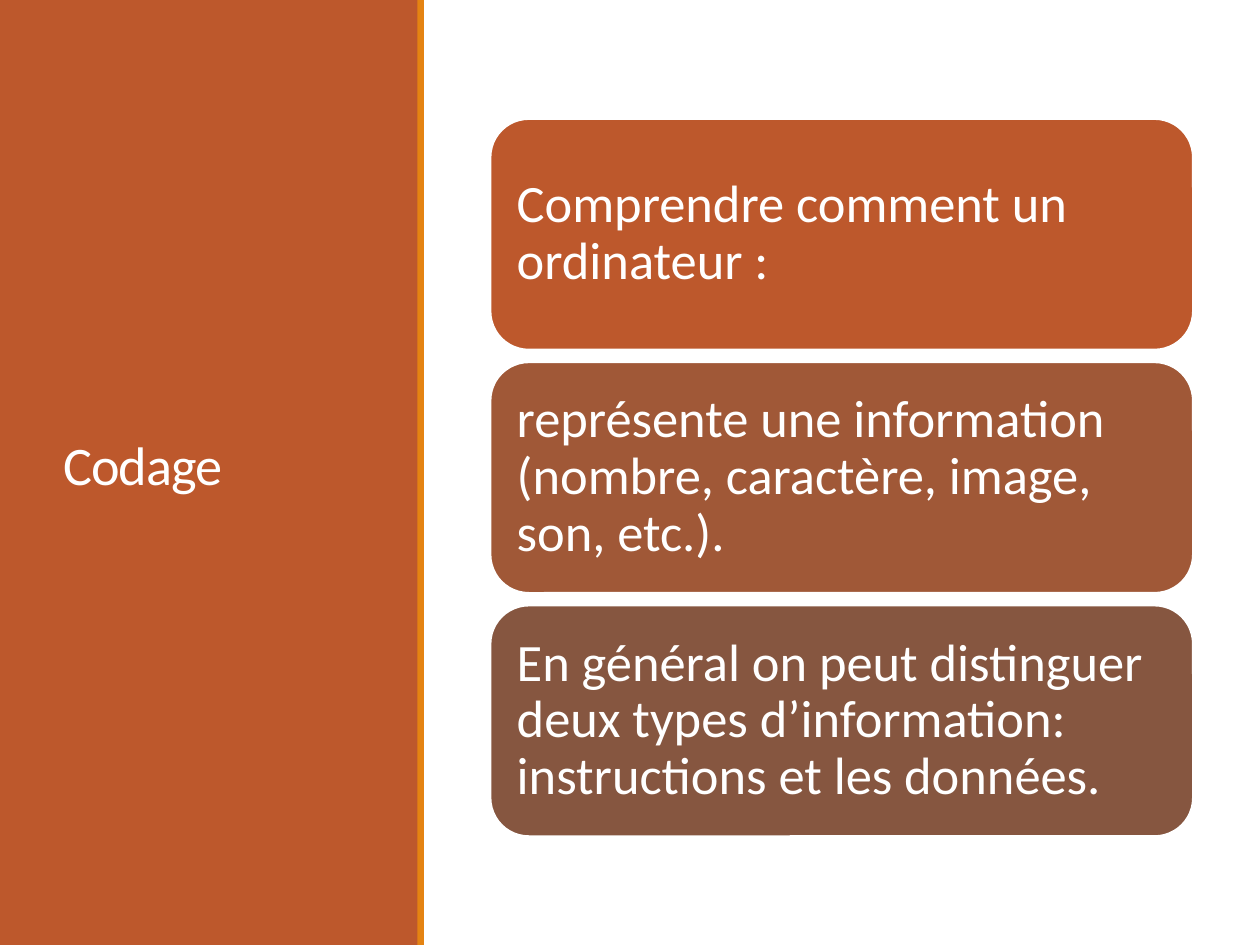
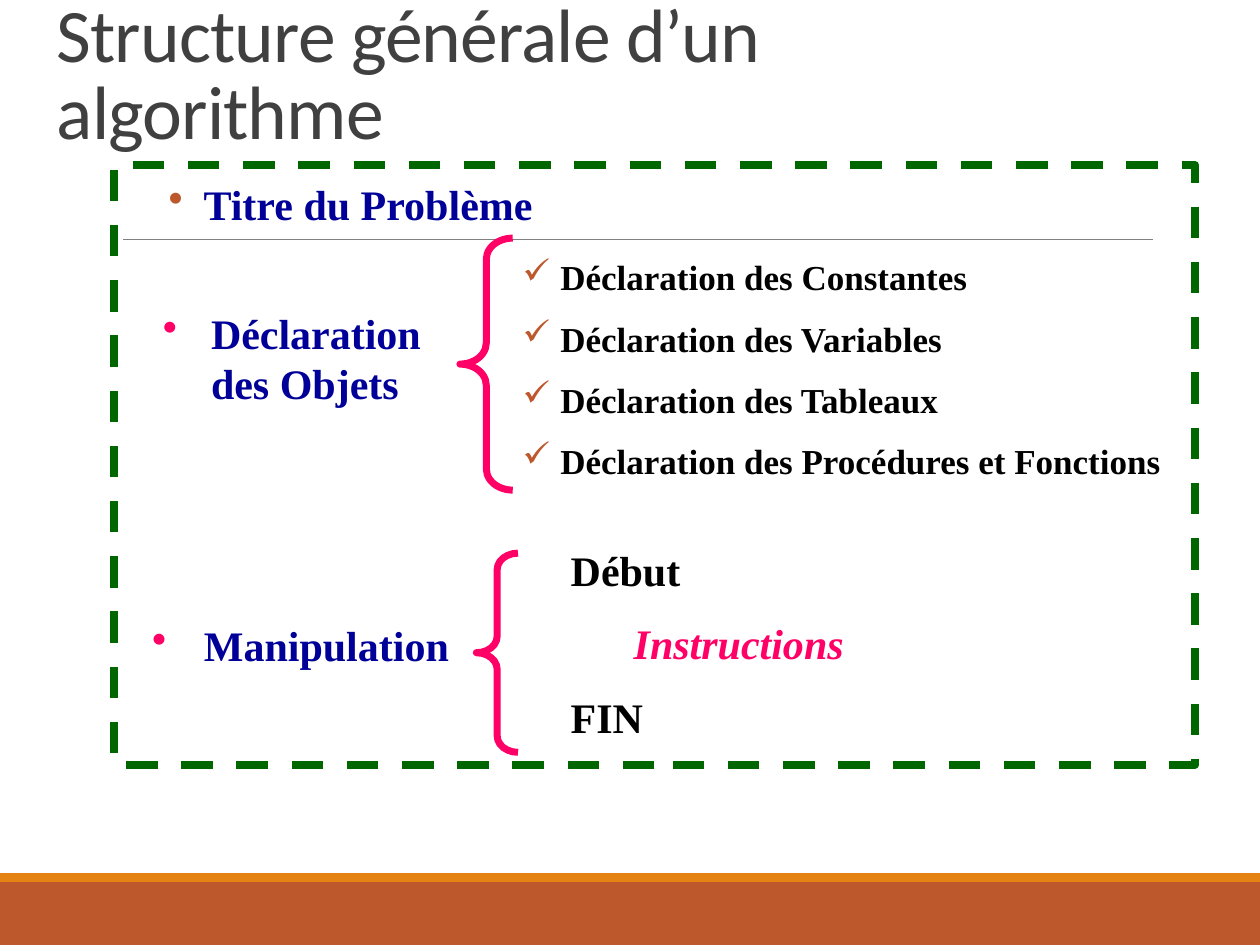
import pptx
import pptx.util
import pptx.dml.color
import pptx.enum.dml
import pptx.enum.shapes
import pptx.enum.text
import pptx.oxml.ns
from lxml import etree

Pt = pptx.util.Pt
SHAPE = pptx.enum.shapes.MSO_SHAPE
ANCHOR = pptx.enum.text.MSO_ANCHOR
ALIGN = pptx.enum.text.PP_ALIGN
qn = pptx.oxml.ns.qn

COLORS = {
    "rust": "BD582C", "orange": "E48312", "brown": "A05837", "umber": "865640",
    "white": "FFFFFF", "black": "000000", "title": "404040", "rule": "808080",
    "green": "006600", "pink": "FF0066", "navy": "000099",
}
SANS, SERIF = "Calibri", "Times New Roman"
WIDTH, HEIGHT = 720, 540


def rgb(name):
    return pptx.dml.color.RGBColor.from_string(COLORS[name])


def style_run(r, font, size, color, bold=False, italic=False):
    r.font.name = font
    r.font.size = Pt(size)
    r.font.color.rgb = rgb(color)
    r.font.bold = bold
    r.font.italic = italic


def add_shape(s, kind, box, fill=None, line=None, weight=1):
    sp = s.shapes.add_shape(kind, *map(Pt, box))
    sp.shadow.inherit = False
    if fill:
        sp.fill.solid()
        sp.fill.fore_color.rgb = rgb(fill)
    else:
        sp.fill.background()
    if line:
        sp.line.color.rgb = rgb(line)
        sp.line.width = Pt(weight)
    else:
        sp.line.fill.background()
    return sp


def set_title(s, text, box, size, color, anchor):
    title = s.shapes.title
    title.left, title.top, title.width, title.height = map(Pt, box)
    tf = title.text_frame
    tf.text = text
    tf.word_wrap = True
    tf.auto_size = pptx.enum.text.MSO_AUTO_SIZE.NONE
    tf.vertical_anchor = anchor
    p = tf.paragraphs[0]
    p.alignment = ALIGN.LEFT
    p.line_spacing = 0.85
    style_run(p.runs[0], SANS, size, color)
    p.runs[0].font._element.set("spc", "-50")
    # Bring the title in front of the bands
    title.element.getparent().append(title.element)


def add_card(s, box, fill, text):
    sp = add_shape(s, SHAPE.ROUNDED_RECTANGLE, box, fill, "white", 1.25)
    tf = sp.text_frame
    tf.text = text
    tf.word_wrap = True
    tf.vertical_anchor = ANCHOR.MIDDLE
    tf.margin_left = tf.margin_right = tf.margin_top = tf.margin_bottom = Pt(8.64)
    p = tf.paragraphs[0]
    p.alignment = ALIGN.LEFT
    p.line_spacing = 0.9
    style_run(p.runs[0], SANS, 30, "white")


def set_indent(p, left, bullet=None, color=None):
    pPr = p._p.get_or_add_pPr()
    pPr.set("marL", str(Pt(left)))
    if bullet:
        pPr.set("indent", str(-Pt(left)))
        clr = etree.SubElement(pPr, qn("a:buClr"))
        etree.SubElement(clr, qn("a:srgbClr")).set("val", COLORS[color])
        etree.SubElement(pPr, qn("a:buChar")).set("char", bullet)


def add_text(s, box, lines, size, gap=0):
    """Each line is (text, colour, italic, indent, bullet, bullet colour)."""
    tf = s.shapes.add_textbox(*map(Pt, box)).text_frame
    tf.word_wrap = True
    for i, (text, color, italic, indent, bullet, bullet_color) in enumerate(lines):
        p = tf.add_paragraph() if i else tf.paragraphs[0]
        p.text = text
        if i:
            p.space_before = Pt(gap)
        set_indent(p, indent, bullet, bullet_color)
        style_run(p.runs[0], SERIF, size, color, True, italic)


def add_rule(s, x1, x2, y):
    line = s.shapes.add_connector(
        pptx.enum.shapes.MSO_CONNECTOR.STRAIGHT, Pt(x1), Pt(y), Pt(x2), Pt(y))
    line.line.color.rgb = rgb("rule")
    line.line.width = Pt(0.5)
    etree.SubElement(line._element.spPr, qn("a:effectLst"))


def add_brace(s, box, curve):
    sp = add_shape(s, SHAPE.LEFT_BRACE, box, line="pink", weight=4)
    sp.adjustments[0] = curve
    sp.adjustments[1] = 0.5


def build_coding(s):
    # Side panel
    add_shape(s, SHAPE.RECTANGLE, (0, 0, 239, HEIGHT), "rust")
    add_shape(s, SHAPE.RECTANGLE, (238.5, 0, 3.8, HEIGHT), "orange")
    set_title(s, "Codage", (28.8, 41, 182, 454), 31, "white", ANCHOR.MIDDLE)

    # Stacked cards
    cards = [
        ("rust", "Comprendre comment un ordinateur :"),
        ("brown", "représente une information (nombre, caractère, image, son, etc.)."),
        ("umber", "En général on peut distinguer deux types d’information: "
                  "instructions et les données."),
    ]
    for i, (fill, text) in enumerate(cards):
        add_card(s, (280.2, 67.9 + 139 * i, 401.6, 132), fill, text)


def build_algorithm(s):
    # Footer bands, rule and title
    add_shape(s, SHAPE.RECTANGLE, (0, 504, WIDTH, 36), "rust")
    add_shape(s, SHAPE.RECTANGLE, (0, 499, WIDTH, 5), "orange")
    add_rule(s, 70.5, 659, 136.8)
    set_title(s, "Structure générale d’un algorithme", (25.2, 9.4, 606, 82.8),
              43.2, "title", ANCHOR.BOTTOM)

    # Dashed frame
    frame = add_shape(s, SHAPE.RECTANGLE, (65, 94.3, 618, 342.7), line="green", weight=4.5)
    frame.line.dash_style = pptx.enum.dml.MSO_LINE.DASH

    # Details to the right of the braces
    parts = ["Constantes", "Variables", "Tableaux", "Procédures et Fonctions"]
    add_text(s, (291.6, 142.6, 384, 139),
             [("Déclaration des " + part, "black", False, 21.5, "✓", "rust")
              for part in parts], 20, 11)
    add_text(s, (319, 307.4, 281, 124), [
        ("Début", "black", False, 0, None, None),
        ("Instructions", "pink", True, 36, None, None),
        ("FIN", "black", False, 0, None, None),
    ], 24, 13.3)
    add_brace(s, (262.8, 136.1, 30.2, 144), 0.4)
    add_brace(s, (272.2, 316.1, 23.8, 113.8), 0.396)

    # Sections of the algorithm
    sections = [
        ("Titre du Problème", (89.3, 98.6, 318, 36), 20, "rust"),
        ("Déclaration des Objets", (86, 172, 176, 65), 27.5, "pink"),
        ("Manipulation", (79.9, 350.6, 192, 36), 29.5, "pink"),
    ]
    for text, box, indent, bullet_color in sections:
        add_text(s, box, [(text, "navy", False, indent, "•", bullet_color)], 24)


def main():
    prs = pptx.Presentation()
    prs.slide_width, prs.slide_height = Pt(WIDTH), Pt(HEIGHT)
    for build in (build_coding, build_algorithm):
        build(prs.slides.add_slide(prs.slide_layouts[5]))
    prs.save("out.pptx")


if __name__ == "__main__":
    main()
